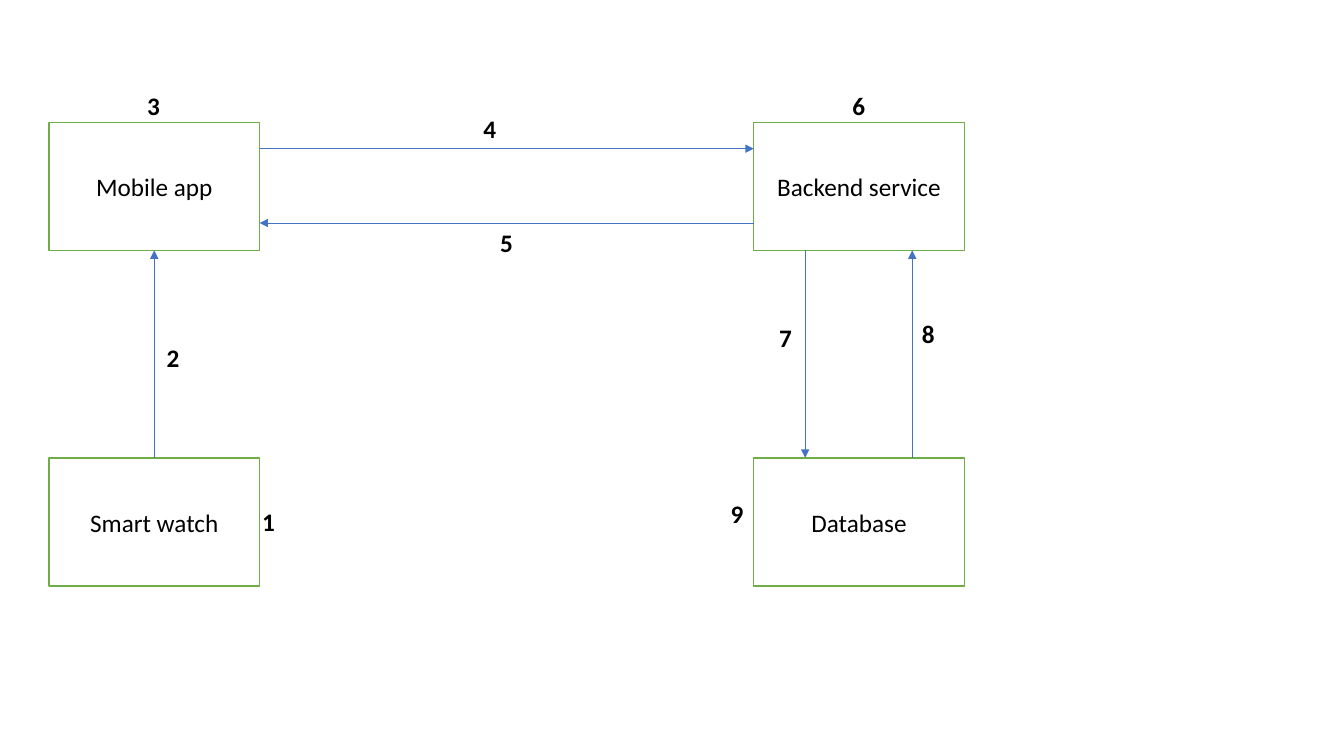
from dataclasses import dataclass

from lxml import etree
from pptx import Presentation
from pptx.dml.color import RGBColor
from pptx.enum import shapes, text
from pptx.oxml import ns
from pptx.util import Pt


@dataclass(frozen=True)
class Theme:
    """Colours, font and sizes shared by the whole diagram."""
    paper: RGBColor = RGBColor(0xFF, 0xFF, 0xFF)
    ink: RGBColor = RGBColor(0, 0, 0)
    border: RGBColor = RGBColor(0x70, 0xAD, 0x47)
    flow: RGBColor = RGBColor(0x44, 0x72, 0xC4)
    font: str = "Calibri"
    size: float = 18
    border_width: float = 1
    flow_width: float = 0.5


THEME = Theme()
BOX_WIDTH, BOX_HEIGHT = 150.4, 91.6
LEFT, RIGHT = 35, 538.4
TOP, BOTTOM = 87.3, 327
LABEL_WIDTH, LABEL_HEIGHT = 23.8, 29

COMPONENTS = [
    ("Mobile app", LEFT, TOP),
    ("Smart watch", LEFT, BOTTOM),
    ("Backend service", RIGHT, TOP),
    ("Database", RIGHT, BOTTOM),
]

# Number, left, top, width
STEPS = [
    ("1", 185, 358.4, 9.4),
    ("2", 112, 241, LABEL_WIDTH),
    ("3", 98.1, 61.3, LABEL_WIDTH),
    ("4", 338.2, 77.4, LABEL_WIDTH),
    ("5", 350.1, 158.9, LABEL_WIDTH),
    ("6", 601.8, 61.3, LABEL_WIDTH),
    ("7", 549.4, 226.4, LABEL_WIDTH),
    ("8", 651.4, 223.8, LABEL_WIDTH),
    ("9", 514.8, 352.6, LABEL_WIDTH),
]


def write(frame, words, align, bold=False):
    """Put one styled paragraph into a text frame."""
    frame.word_wrap = True
    para = frame.paragraphs[0]
    para.text = words
    para.alignment = align
    para.font.name = THEME.font
    para.font.size = Pt(THEME.size)
    para.font.bold = bold
    para.font.color.rgb = THEME.ink


def add_component(page, name, left, top):
    """Draw a system component as an outlined box."""
    box = page.shapes.add_shape(shapes.MSO_SHAPE.RECTANGLE, Pt(left), Pt(top),
                                Pt(BOX_WIDTH), Pt(BOX_HEIGHT))
    box.shadow.inherit = False
    box.fill.solid()
    box.fill.fore_color.rgb = THEME.paper
    box.line.color.rgb = THEME.border
    box.line.width = Pt(THEME.border_width)
    box.text_frame.vertical_anchor = text.MSO_ANCHOR.MIDDLE
    write(box.text_frame, name, text.PP_ALIGN.CENTER)


def add_flow(page, start, end):
    """Draw an arrow from start to end, each an (x, y) pair."""
    arrow = page.shapes.add_connector(shapes.MSO_CONNECTOR.STRAIGHT,
                                      *map(Pt, start + end))
    arrow.line.color.rgb = THEME.flow
    arrow.line.width = Pt(THEME.flow_width)
    etree.SubElement(arrow.line._get_or_add_ln(), ns.qn("a:tailEnd"),
                     type="triangle")
    etree.SubElement(arrow._element.spPr, ns.qn("a:effectLst"))


def add_step(page, number, left, top, width):
    """Place a bold step number."""
    box = page.shapes.add_textbox(Pt(left), Pt(top), Pt(width),
                                  Pt(LABEL_HEIGHT))
    write(box.text_frame, number, text.PP_ALIGN.LEFT, bold=True)
    box.text_frame.auto_size = text.MSO_AUTO_SIZE.SHAPE_TO_FIT_TEXT


def main():
    """Build and save the architecture diagram."""
    deck = Presentation()
    deck.slide_width, deck.slide_height = Pt(960), Pt(540)
    page = deck.slides.add_slide(deck.slide_layouts.get_by_name("Blank"))

    for component in COMPONENTS:
        add_component(page, *component)

    app_edge, app_middle = LEFT + BOX_WIDTH, LEFT + BOX_WIDTH / 2
    request_y, response_y = 106.2, 159.3
    query_x, result_x = 575.2, 651.6
    upper_edge = TOP + BOX_HEIGHT
    add_flow(page, (app_middle, BOTTOM), (app_middle, upper_edge))
    add_flow(page, (app_edge, request_y), (RIGHT, request_y))
    add_flow(page, (RIGHT, response_y), (app_edge, response_y))
    add_flow(page, (query_x, upper_edge), (query_x, BOTTOM))
    add_flow(page, (result_x, BOTTOM), (result_x, upper_edge))

    for step in STEPS:
        add_step(page, *step)

    deck.save("out.pptx")


main()
